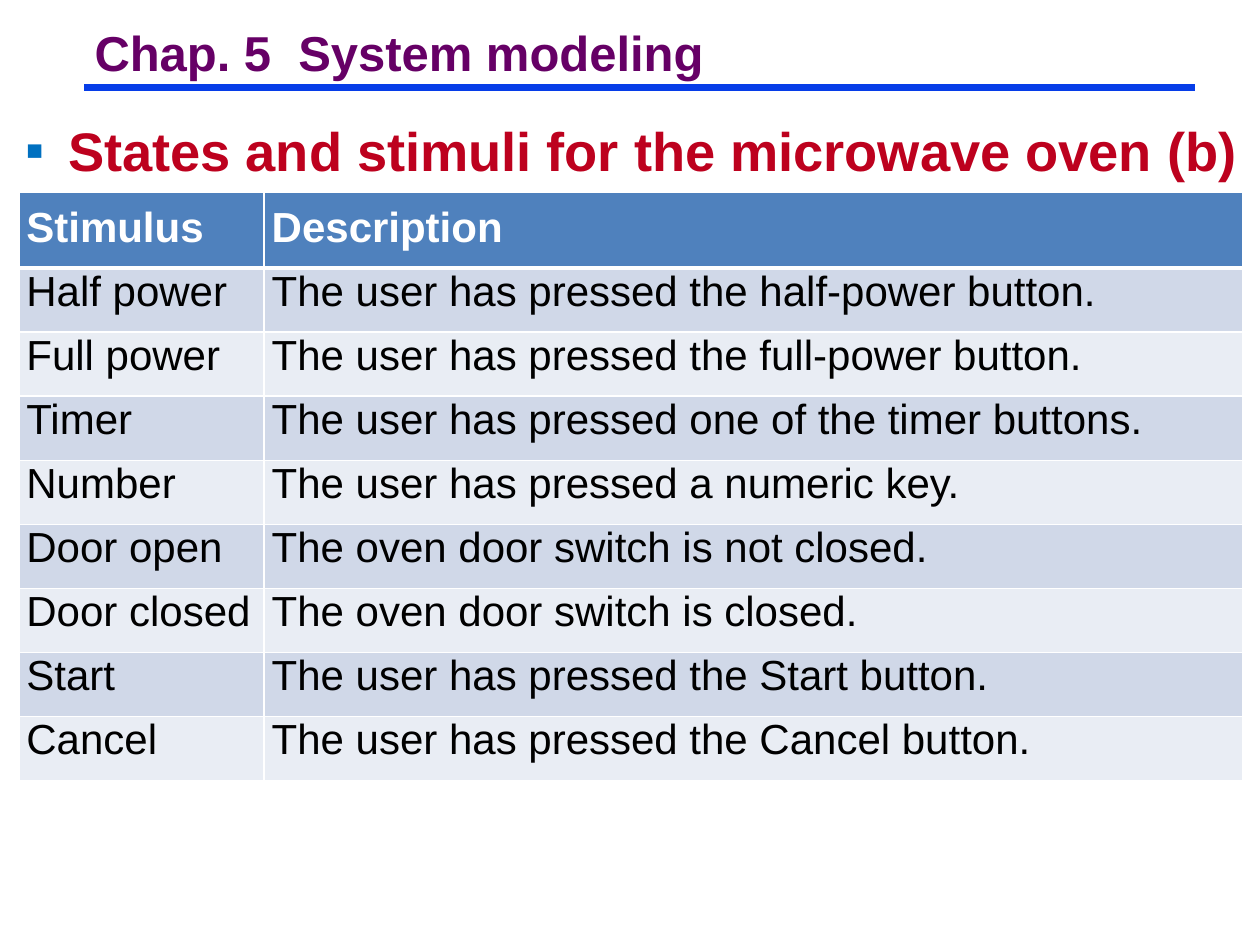
from dataclasses import dataclass

from lxml import etree
from pptx import Presentation
from pptx.dml.color import RGBColor
from pptx.enum.shapes import MSO_CONNECTOR
from pptx.enum.text import MSO_ANCHOR, MSO_AUTO_SIZE, PP_ALIGN
from pptx.oxml.ns import qn
from pptx.util import Pt

LEFT, JUSTIFY = PP_ALIGN.LEFT, PP_ALIGN.JUSTIFY
TOP, MIDDLE = MSO_ANCHOR.TOP, MSO_ANCHOR.MIDDLE
FIT_SHAPE = MSO_AUTO_SIZE.SHAPE_TO_FIT_TEXT
STRAIGHT = MSO_CONNECTOR.STRAIGHT
TITLE_ONLY = 5


@dataclass(frozen=True)
class Theme:
    font: str = "Arial"
    title_size: float = 28
    heading_size: float = 31
    table_size: float = 24
    title: str = "660066"
    rule: str = "063DE8"
    bullet: str = "0070C0"
    heading: str = "BD011E"
    header_fill: str = "4F81BD"
    bands: tuple = ("D0D8E8", "E9EDF4")
    white: str = "FFFFFF"
    black: str = "000000"


THEME = Theme()

STIMULI = [
    ("Stimulus", "Description"),
    ("Half power", "The user has pressed the half-power button."),
    ("Full power", "The user has pressed the full-power button."),
    ("Timer", "The user has pressed one of the timer buttons."),
    ("Number", "The user has pressed a numeric key."),
    ("Door open", "The oven door switch is not closed."),
    ("Door closed", "The oven door switch is closed."),
    ("Start", "The user has pressed the Start button."),
    ("Cancel", "The user has pressed the Cancel button."),
]


def add_run(paragraph, text, size, color, bold=True):
    run = paragraph.add_run()
    run.text = text
    run.font.name = THEME.font
    run.font.size = Pt(size)
    run.font.bold = bold
    run.font.color.rgb = RGBColor.from_string(color)


def set_margins(target, left, top, right, bottom):
    target.margin_left, target.margin_top = Pt(left), Pt(top)
    target.margin_right, target.margin_bottom = Pt(right), Pt(bottom)


def add_title(slide, text):
    title = slide.shapes.title
    title.left, title.top, title.width, title.height = Pt(49), Pt(15.8), Pt(358.6), Pt(33)
    frame = title.text_frame
    frame.word_wrap = False
    frame.auto_size = FIT_SHAPE
    frame.vertical_anchor = MIDDLE
    set_margins(frame, 5, 2.2, 5, 2.2)
    paragraph = frame.paragraphs[0]
    paragraph.alignment = LEFT
    paragraph.line_spacing = 0.87
    add_run(paragraph, text, THEME.title_size, THEME.title)


def add_rule(slide, left, right, y):
    rule = slide.shapes.add_connector(STRAIGHT, Pt(left), Pt(y), Pt(right), Pt(y))
    rule.line.color.rgb = RGBColor.from_string(THEME.rule)
    rule.line.width = Pt(3.75)
    etree.SubElement(rule.element.spPr, qn("a:effectLst"))


def add_heading(slide, text):
    box = slide.shapes.add_textbox(Pt(7.2), Pt(61.2), Pt(710), Pt(49))
    frame = box.text_frame
    frame.word_wrap = True
    frame.vertical_anchor = MIDDLE
    set_margins(frame, 7.2, 3.6, 0, 3.6)
    paragraph = frame.paragraphs[0]
    properties = paragraph._p.get_or_add_pPr()
    properties.set("marL", str(Pt(16)))
    properties.set("indent", str(-Pt(16)))
    etree.SubElement(properties, qn("a:buFont"), typeface=THEME.font)
    etree.SubElement(properties, qn("a:buChar"), char="▪")
    # The bullet takes its colour from the leading space
    add_run(paragraph, " ", THEME.heading_size, THEME.bullet)
    add_run(paragraph, text, THEME.heading_size, THEME.heading)


def set_borders(cell, top, bottom):
    properties = cell._tc.get_or_add_tcPr()
    widths = {"a:lnL": 1, "a:lnR": 1, "a:lnT": top, "a:lnB": bottom}
    for index, (tag, width) in enumerate(widths.items()):
        line = etree.Element(qn(tag), w=str(Pt(width)))
        fill = etree.SubElement(line, qn("a:solidFill"))
        etree.SubElement(fill, qn("a:srgbClr"), val=THEME.white)
        properties.insert(index, line)


def format_cell(cell, text, row):
    is_header = row == 0
    fill = THEME.header_fill if is_header else THEME.bands[(row - 1) % 2]
    cell.fill.solid()
    cell.fill.fore_color.rgb = RGBColor.from_string(fill)
    cell.vertical_anchor = TOP
    set_margins(cell, 4.3, 7.2 if is_header else 0, 4.3, 7.2)
    set_borders(cell, top=3 if row == 1 else 1, bottom=3 if is_header else 1)
    paragraph = cell.text_frame.paragraphs[0]
    paragraph.alignment = JUSTIFY
    color = THEME.white if is_header else THEME.black
    add_run(paragraph, text, THEME.table_size, color, bold=is_header)


def add_stimulus_table(slide, rows):
    widths = (140.2, 559)
    heights = [43.4] + [36.6] * (len(rows) - 1)
    frame = slide.shapes.add_table(len(rows), len(widths), Pt(10.8), Pt(109.8),
                                   Pt(sum(widths)), Pt(sum(heights)))
    table = frame.table
    for column, width in zip(table.columns, widths):
        column.width = Pt(width)
    for row, (height, texts) in enumerate(zip(heights, rows)):
        table.rows[row].height = Pt(height)
        for column, text in enumerate(texts):
            format_cell(table.cell(row, column), text, row)


def main():
    presentation = Presentation()
    presentation.slide_width, presentation.slide_height = Pt(720), Pt(540)
    slide = presentation.slides.add_slide(presentation.slide_layouts[TITLE_ONLY])

    # Chapter title and its rule
    add_rule(slide, 48.2, 682.6, 49.9)
    add_title(slide, "Chap. 5  System modeling")

    # Topic and table of stimuli
    add_heading(slide, "States and stimuli for the microwave oven (b)")
    add_stimulus_table(slide, STIMULI)

    presentation.save("out.pptx")


if __name__ == "__main__":
    main()
